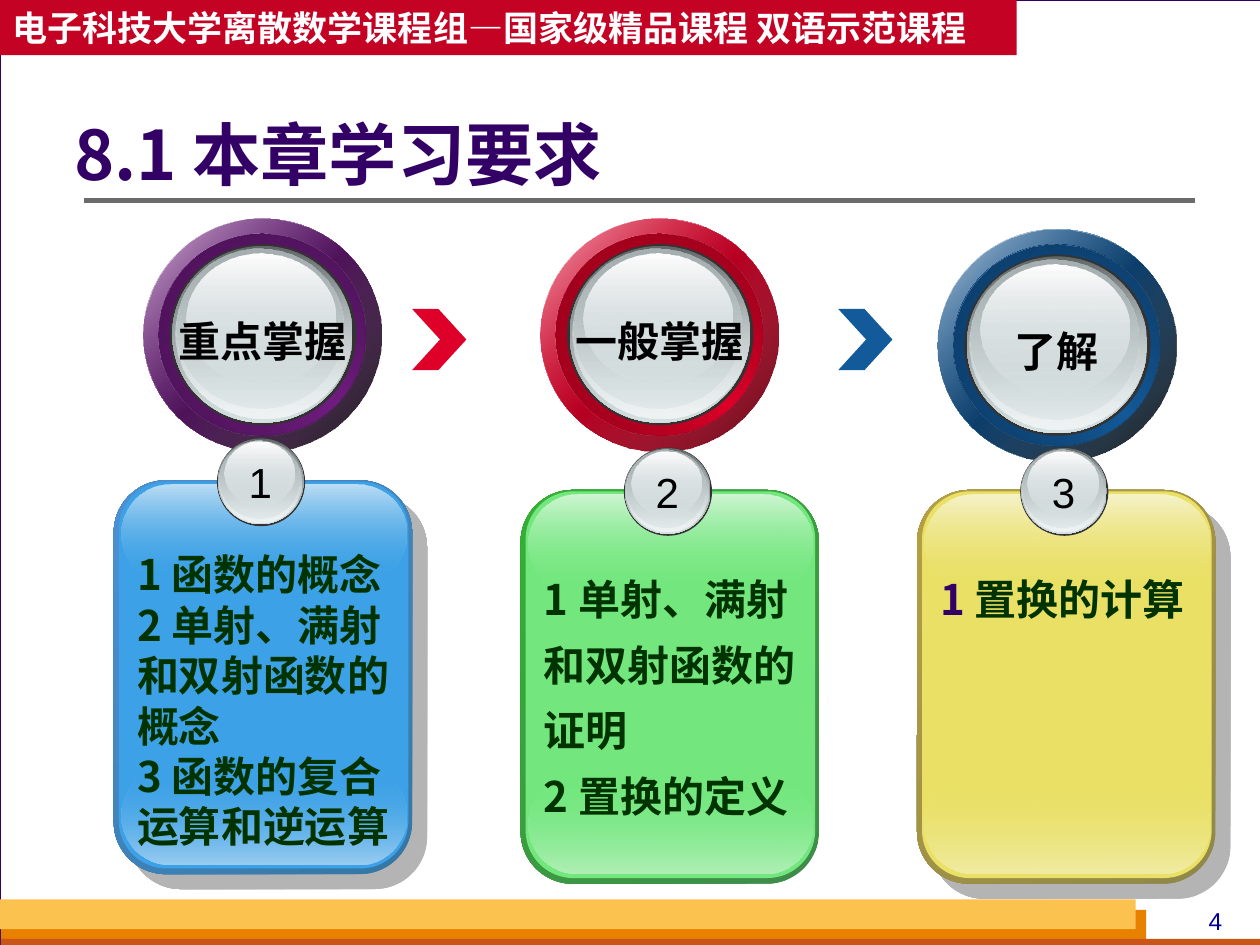
from lxml.etree import SubElement
from pptx import Presentation
from pptx.dml.color import RGBColor as RGB
from pptx.enum.shapes import MSO_CONNECTOR as LINK, MSO_SHAPE as SHAPE
from pptx.enum.text import MSO_ANCHOR as ANCHOR, PP_ALIGN as ALIGN
from pptx.oxml import parse_xml
from pptx.oxml.ns import qn
from pptx.util import Pt

HEX = {
    "white": "FFFFFF", "black": "000000", "purple": "330066", "green": "003300",
    "page": "000099", "back": "D8DADA", "banner": "C30224", "rule": "6B6B6B",
    "gold": "FCC24F", "orange": "E88000", "rust": "C95616",
    "rim": "333333", "steel": "626768", "mist": "D6E1E2",
    "pale": "EFF3F3", "ash": "A8B1B2", "shine": "FEFEFE",
}
SANS, ARIAL = "Noto Sans CJK SC", "Arial"
BANNER = "电子科技大学离散数学课程组—国家级精品课程 双语示范课程"
TITLE = "8.1 本章学习要求"

# ring: main, dark edge, inner edge, overlay (colour, opacity)
RINGS = [
    {"word": "重点掌握", "x": 82, "y": 125, "main": "711C81",
     "edge": "3C0F45", "deep": "471151", "shade": ("000000", 90)},
    {"word": "一般掌握", "x": 309, "y": 125, "main": "DF0029",
     "edge": "780016", "deep": "8D0019", "shade": ("660012", 100)},
    {"word": "了解", "x": 536, "y": 131, "main": "135A9A",
     "edge": "0A3053", "deep": "0C3861", "shade": ("000000", 90)},
]
CARDS = [
    {"x": 65, "y": 274.5, "face": "3CA1E6", "side": ("3477A4", "4E91D4"),
     "top": "BDDEF5", "foot": "9ACDF1", "drop": True, "gap": 1.0,
     "lines": [[("1 函数的概念", "green")],
               [("2 单射、满射和双射函数的概念", "green")],
               [("3 函数的复合运算和逆运算", "green")]]},
    {"x": 297.5, "y": 280, "face": "73E77E", "side": ("3F8B4A", "34B034"),
     "top": "CFF6D3", "foot": "B1F0B7", "drop": False, "gap": 1.3,
     "lines": [[("1 单射、满射和双射函数的证明", "green")],
               [("2 置换的定义", "green")]]},
    {"x": 524, "y": 280, "face": "E9E065", "side": ("8F8849", "B59F43"),
     "top": "F6F3CA", "foot": "F1ECA5", "drop": True, "gap": 1.3,
     "lines": [[("1 ", "purple"), ("置换的计算", "green")]]},
]
CHEVRONS = [(235.5, 176.5, "DF0029"), (479, 176.5, "135A9A")]

# glass layers: first stop, last stop as (colour, opacity)
GLASS = [
    ((HEX["steel"], 100), (HEX["mist"], 100)),
    ((HEX["mist"], 0), (HEX["pale"], 100)),
    ((HEX["ash"], 100), (HEX["mist"], 48)),
    ((HEX["shine"], 100), (HEX["mist"], 38)),
]
# rim and glass boxes, measured from the ring's or the card's corner
DISC = [(15, 14.5, 106.5, 103.5), (16.5, 15.5, 103, 101), (18, 16.3, 101, 98),
        (18.7, 17.3, 95.8, 91.4), (24.5, 20, 85, 74)]
BADGE = [(59, -24.2, 50.4, 50.4), (59.5, -24, 49, 49), (60, -23.5, 47.5, 47.5),
         (60.5, -23, 45.4, 44.6), (63.2, -22, 40.3, 36)]

deck = Presentation()
deck.slide_width, deck.slide_height = Pt(720), Pt(540)
slide = deck.slides.add_slide(deck.slide_layouts[6])
slide.background.fill.solid()
slide.background.fill.fore_color.rgb = RGB.from_string(HEX["back"])
parts = slide.shapes


def blend(item, stops, angle):
    """Fill with a linear gradient; stops are (colour, opacity) at even steps."""
    item.fill.gradient()
    item.fill.gradient_angle = 360 - angle
    stop_list = item.element.spPr.find(qn("a:gradFill")).find(qn("a:gsLst"))
    stop_list.clear()
    for i, (color, alpha) in enumerate(stops):
        stop = SubElement(stop_list, qn("a:gs"),
                          pos=str(i * 100000 // (len(stops) - 1)))
        tint = SubElement(stop, qn("a:srgbClr"), val=color)
        if alpha < 100:
            SubElement(tint, qn("a:alpha"), val=str(alpha * 1000))


def paint(item, fill, angle=90):
    if isinstance(fill, str):
        item.fill.solid()
        item.fill.fore_color.rgb = RGB.from_string(fill)
    else:
        blend(item, fill, angle)
    item.line.fill.background()
    item.shadow.inherit = False
    return item


def draw(kind, box, fill, angle=90, adj=None):
    item = parts.add_shape(kind, *map(Pt, box))
    if adj is not None:
        item.adjustments[0] = adj
    return paint(item, fill, angle)


def write(lines, box, size=24, font=SANS, color="black", bold=True, align=ALIGN.LEFT,
          anchor=ANCHOR.TOP, wrap=True, gap=1.0, left=7.2):
    """Lines is a string, or a list of paragraphs made of (words, colour) runs."""
    if isinstance(lines, str):
        lines = [[(lines, color)]]
    frame = parts.add_textbox(*map(Pt, box)).text_frame
    frame.word_wrap, frame.vertical_anchor = wrap, anchor
    frame.margin_left = Pt(left)
    for i, runs in enumerate(lines):
        para = frame.add_paragraph() if i else frame.paragraphs[0]
        para.alignment, para.line_spacing = align, gap
        for words, tone in runs:
            run = para.add_run()
            run.text = words
            run.font.size, run.font.bold, run.font.name = Pt(size), bold, font
            run.font.color.rgb = RGB.from_string(HEX[tone])
            SubElement(run.font._element, qn("a:ea"), typeface=SANS)


def glass(x, y, boxes):
    """Dark rim with four translucent layers on it."""
    for (dx, dy, w, h), fill in zip(boxes, [HEX["rim"]] + GLASS):
        draw(SHAPE.OVAL, (x + dx, y + dy, w, h), fill)


def frame_page():
    sheet = draw(SHAPE.RECTANGLE, (0, 0, 720.5, 540), HEX["white"])
    sheet.line.color.rgb = RGB.from_string(HEX["purple"])
    sheet.line.width = Pt(0.75)
    for box, name in [((0.5, 520, 654.5, 20), "orange"), ((0.5, 536.5, 720, 5.5), "rust"),
                      ((0, 514, 649, 17), "gold"), ((0, 0, 581, 31.5), "banner")]:
        draw(SHAPE.RECTANGLE, box, HEX[name])
    rule = parts.add_connector(LINK.STRAIGHT, Pt(48), Pt(114.5), Pt(683), Pt(114.5))
    rule.line.color.rgb = RGB.from_string(HEX["rule"])
    rule.line.width = Pt(3)
    SubElement(rule._element.spPr, qn("a:effectLst"))
    write("4", (672, 514, 45, 24), size=14, font=ARIAL, color="page", bold=False,
          align=ALIGN.CENTER)
    write(BANNER, (0, 0, 581, 31.5), size=20, color="white", anchor=ANCHOR.MIDDLE)
    write(TITLE, (42.5, 65.5, 560, 50), size=39, color="purple",
          anchor=ANCHOR.MIDDLE, gap=0.9, left=0)


def chevron(x, y, color):
    pen = parts.build_freeform(Pt(x), Pt(y))
    pen.add_line_segments([(Pt(x + dx), Pt(y + dy)) for dx, dy in
                           [(15, 0), (31, 17.5), (15, 35), (0, 35), (16, 17.5)]])
    paint(pen.convert_to_shape(), color)


def ring(word, x, y, main, edge, deep, shade):
    solid, shine = (main, 100), (HEX["shine"], 100)
    outer, inner = (x, y, 136, 133), (x + 8.7, y + 8.7, 118, 115)
    for box, stops, angle in [
            (outer, [shine, solid, shine], 225),
            (outer, [shade, (main, 32)], 225),
            (inner, [(edge, 100), solid, (edge, 100)], 135),
            (inner, [(main, 0), (deep, 100)], 225)]:
        draw(SHAPE.OVAL, box, stops, angle)
    glass(x, y, DISC)
    write(word, (x, y + 51.5, 136, 36), font=ARIAL, align=ALIGN.CENTER, wrap=False)


def card(num, x, y, face, side, top, foot, drop, gap, lines):
    base = draw(SHAPE.ROUNDED_RECTANGLE, (x, y, 170.5, 225),
                [(tone, 100) for tone in side], 225, 0.175)
    if drop:
        cast = SubElement(base.element.spPr.find(qn("a:effectLst")), qn("a:outerShdw"),
                          dist=str(Pt(12.1)), dir="2700000", algn="ctr", rotWithShape="0")
        tint = SubElement(cast, qn("a:srgbClr"), val=HEX["rule"])
        SubElement(tint, qn("a:alpha"), val="50000")
    draw(SHAPE.ROUNDED_RECTANGLE, (x + 2.9, y + 0.8, 165.5, 221), face, adj=0.165)
    for dy, stops in [(163.3, [(face, 0), (foot, 100)]), (2.5, [(top, 100), (face, 0)])]:
        draw(SHAPE.ROUNDED_RECTANGLE, (x + 4.3, y + dy, 162.7, 56), stops, adj=0.5)
    glass(x, y, BADGE)
    write(str(num), (x + 70, y - 17, 27.4, 36), font=ARIAL, bold=False,
          align=ALIGN.CENTER, wrap=False)
    write(lines, (x + 6.2, y + 35.6, 162, 180), gap=gap)


frame_page()
for spot in CHEVRONS:
    chevron(*spot)
for item in RINGS:
    ring(**item)
for num, item in enumerate(CARDS, 1):
    card(num, **item)
deck.save("out.pptx")
